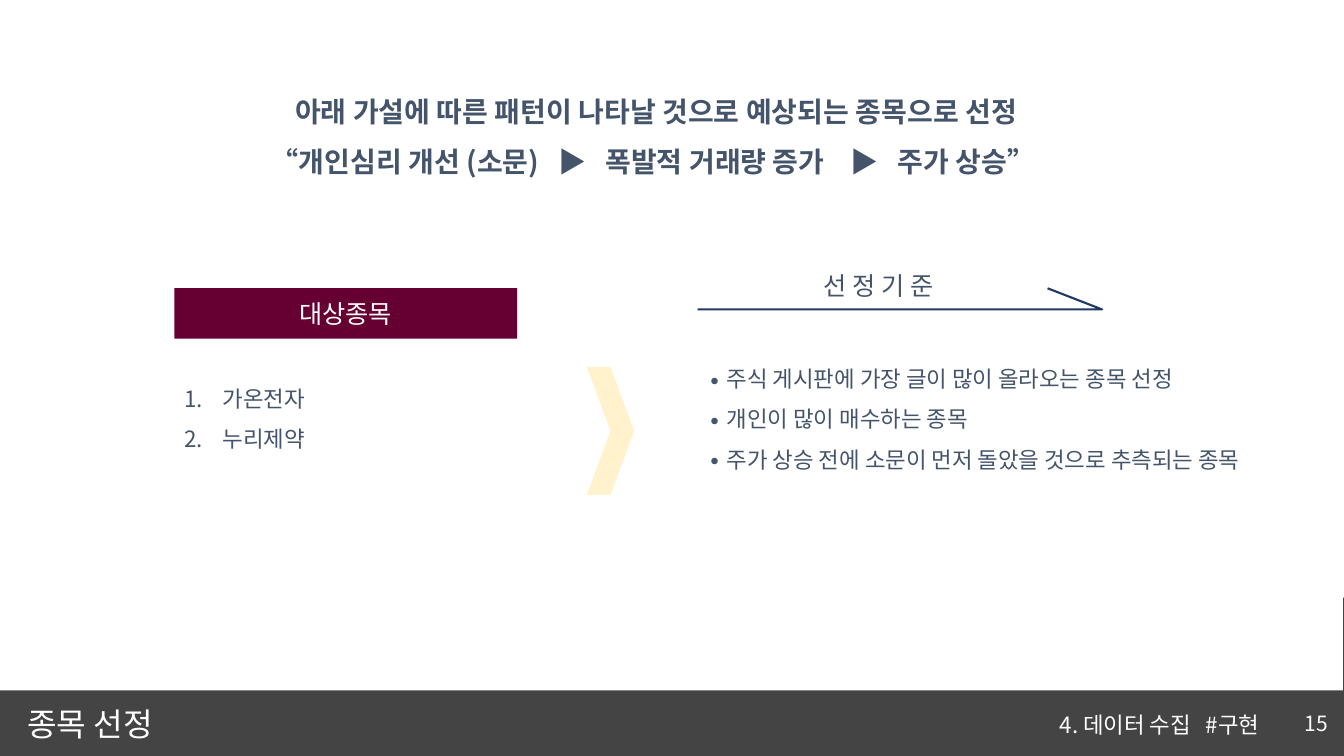
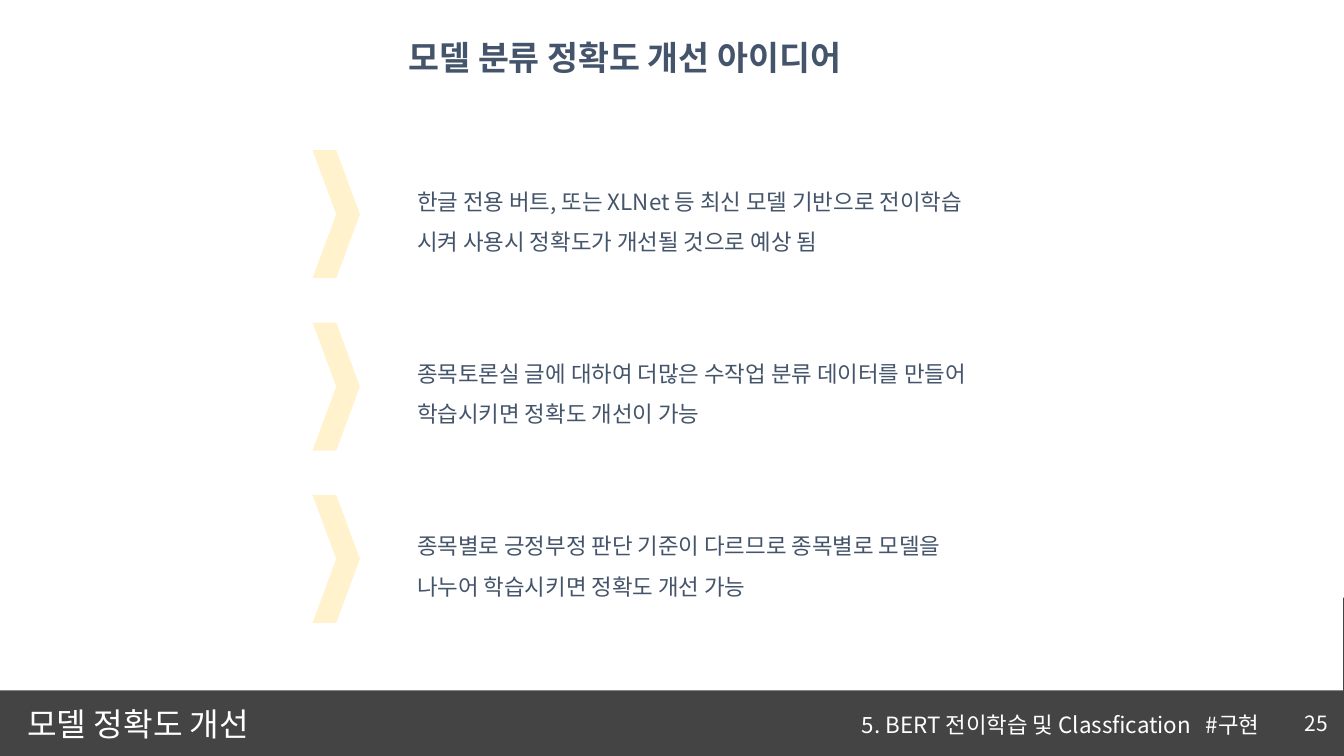
from dataclasses import dataclass

from lxml import etree
from pptx import Presentation, util as u
from pptx.dml.color import RGBColor
from pptx.enum import shapes, text
from pptx.oxml.ns import qn

SHAPE = shapes.MSO_SHAPE
ALIGN = text.PP_ALIGN
ANCHOR = text.MSO_ANCHOR


@dataclass(frozen=True)
class Theme:
    """Colours, font and type sizes shared by the slides."""
    font: str = "Noto Sans CJK KR"
    white: str = "FFFFFF"
    band: str = "262626"
    ink: str = "44546A"
    wine: str = "660033"
    cream: str = "FFF2CC"
    navy: str = "203864"
    heading: int = 24
    title: int = 23
    lead: int = 20
    label: int = 18
    body: int = 16
    number: int = 15


class Deck:
    """Draws styled elements on the current slide."""

    def __init__(self, theme):
        self.theme = theme
        self.prs = Presentation()
        self.prs.slide_width = u.Inches(13.33)
        self.prs.slide_height = u.Inches(7.5)
        self.s = None

    def new_slide(self, title, section, number):
        t = self.theme
        self.s = self.prs.slides.add_slide(self.prs.slide_layouts[5])
        self.shape(SHAPE.RECTANGLE, (0, 5.93, 13.33, 1.57), t.band, alpha=86)
        self.shape(SHAPE.RECTANGLE, (0, 0, 13.32, 6.85), t.white)
        sp = self.s.shapes.title
        sp.element.getparent().append(sp.element)
        self.place(sp, (0.14, 6.96, 8.75, 0.48))
        self.fill_text(sp, [title], t.title, t.white, spacing=0.9,
                       anchor=ANCHOR.MIDDLE, inset=(0.13, 0.07))
        self.text((7.44, 6.97, 5.15, 0.47), [section], t.body, t.white,
                  align=ALIGN.RIGHT, spacing=0.9, anchor=ANCHOR.MIDDLE)
        self.text((12.72, 6.97, 0.57, 0.4), [number], t.number, t.white,
                  align=ALIGN.RIGHT, anchor=ANCHOR.MIDDLE, inset=(0.12, 0.06))

    def place(self, sp, box):
        for name, value in zip(("left", "top", "width", "height"), box):
            setattr(sp, name, u.Inches(value))

    def shape(self, kind, box, fill, alpha=None):
        sp = self.s.shapes.add_shape(kind, *map(u.Inches, box))
        sp.shadow.inherit = False
        sp.fill.solid()
        sp.fill.fore_color.rgb = RGBColor.from_string(fill)
        sp.line.fill.background()
        if alpha:
            color = sp.element.spPr.find(qn("a:solidFill"))[0]
            etree.SubElement(color, qn("a:alpha"), val=str(alpha * 1000))
        return sp

    def chevron(self, left, top):
        self.shape(SHAPE.CHEVRON, (left, top, 0.47, 1.27), self.theme.cream)

    def polyline(self, points, color, width):
        start, *rest = [tuple(map(u.Inches, point)) for point in points]
        builder = self.s.shapes.build_freeform(*start)
        builder.add_line_segments(rest, close=False)
        sp = builder.convert_to_shape()
        sp.shadow.inherit = False
        sp.fill.background()
        sp.line.color.rgb = RGBColor.from_string(color)
        sp.line.width = u.Pt(width)

    def text(self, box, lines, size, color, **style):
        sp = self.s.shapes.add_textbox(*map(u.Inches, box))
        self.fill_text(sp, lines, size, color, **style)

    def fill_text(self, sp, lines, size, color, bold=False, align=ALIGN.LEFT,
                  spacing=1.0, anchor=ANCHOR.TOP, inset=(0.1, 0.05),
                  bullet=None):
        tf = sp.text_frame
        dx, dy = map(u.Inches, inset)
        frame = {"word_wrap": True, "auto_size": text.MSO_AUTO_SIZE.NONE,
                 "vertical_anchor": anchor, "margin_left": dx,
                 "margin_right": dx, "margin_top": dy, "margin_bottom": dy}
        for name, value in frame.items():
            setattr(tf, name, value)
        for i, line in enumerate(lines):
            p = tf.add_paragraph() if i else tf.paragraphs[0]
            if bullet:
                self.bullet(p, *bullet)
            p.alignment, p.line_spacing = align, spacing
            for part in [(line, 0)] if isinstance(line, str) else line:
                self.run(p, *part, size, color, bold)

    def bullet(self, p, tag, attrs, indent):
        pPr = p._p.get_or_add_pPr()
        pPr.set("marL", str(u.Inches(indent)))
        pPr.set("indent", str(-u.Inches(indent)))
        etree.SubElement(pPr, qn("a:buFont"), typeface=self.theme.font)
        etree.SubElement(pPr, qn(tag), attrs)

    def run(self, p, content, tracking, size, color, bold):
        r = p.add_run()
        r.text = content
        font = {"name": self.theme.font, "size": u.Pt(size), "bold": bold}
        for name, value in font.items():
            setattr(r.font, name, value)
        r.font.color.rgb = RGBColor.from_string(color)
        rPr = r._r.get_or_add_rPr()
        etree.SubElement(rPr, qn("a:ea"), typeface=self.theme.font)
        if tracking:
            rPr.set("spc", str(tracking * 100))


def section(name):
    return [(name, 0), (" ", 7), ("#구현", 0)]


def stock_selection(deck):
    t = deck.theme
    deck.new_slide("종목 선정", section("4. 데이터 수집"), "15")
    chain = [("“개인심리 개선 (소문)", 0), (" ", 9), ("▶", 0), (" ", 9),
             ("폭발적 거래량 증가", 0), (" ", 14), ("▶", 0), (" ", 9),
             ("주가 상승” ", 0)]
    deck.text((0.68, 0.72, 11.66, 1.11),
              ["아래 가설에 따른 패턴이 나타날 것으로 예상되는 종목으로 선정", chain],
              t.lead, t.ink, bold=True, align=ALIGN.CENTER, spacing=1.5)
    sp = deck.shape(SHAPE.RECTANGLE, (1.73, 2.86, 3.4, 0.5), t.wine)
    deck.fill_text(sp, ["대상종목"], t.label, t.white, align=ALIGN.CENTER,
                   anchor=ANCHOR.MIDDLE)
    deck.text((1.73, 3.64, 3.73, 0.91), ["가온전자", "누리제약"],
              t.body, t.ink, spacing=1.5,
              bullet=("a:buAutoNum", {"type": "arabicPeriod"}, 0.38))
    deck.chevron(5.82, 3.64)
    deck.text((8.07, 2.63, 3.73, 0.4), ["선 정 기 준"], t.label, t.ink)
    deck.polyline([(6.92, 3.07), (10.93, 3.07), (10.39, 2.86)], t.navy, 1.5)
    deck.text((6.92, 3.44, 5.86, 1.31),
              ["주식 게시판에 가장 글이 많이 올라오는 종목 선정",
               "개인이 많이 매수하는 종목",
               "주가 상승 전에 소문이 먼저 돌았을 것으로 추측되는 종목"],
              t.body, t.ink, spacing=1.5,
              bullet=("a:buChar", {"char": "∙"}, 0.19))


def accuracy_ideas(deck):
    t = deck.theme
    deck.new_slide("모델 정확도 개선",
                   section("5. BERT 전이학습 및 Classfication"), "25")
    deck.text((2.46, 0.32, 7.55, 0.51), ["모델 분류 정확도 개선 아이디어 "],
              t.heading, t.ink, bold=True, align=ALIGN.CENTER)
    ideas = [
        "한글 전용 버트, 또는 XLNet 등 최신 모델 기반으로 "
        "전이학습 시켜 사용시 정확도가 개선될 것으로 예상 됨",
        "종목토론실 글에 대하여 더많은 수작업 분류 데이터를 만들어 "
        "학습시키면 정확도 개선이 가능",
        "종목별로 긍정부정 판단 기준이 다르므로 종목별로 모델을 "
        "나누어 학습시키면 정확도 개선 가능",
    ]
    for i, idea in enumerate(ideas):
        top = 1.49 + 1.71 * i
        deck.chevron(3.1, top)
        deck.text((4.04, top + 0.19, 5.86, 0.91), [idea], t.body, t.ink,
                  spacing=1.5)


def main():
    deck = Deck(Theme())
    stock_selection(deck)
    accuracy_ideas(deck)
    deck.prs.save("out.pptx")


if __name__ == "__main__":
    main()
